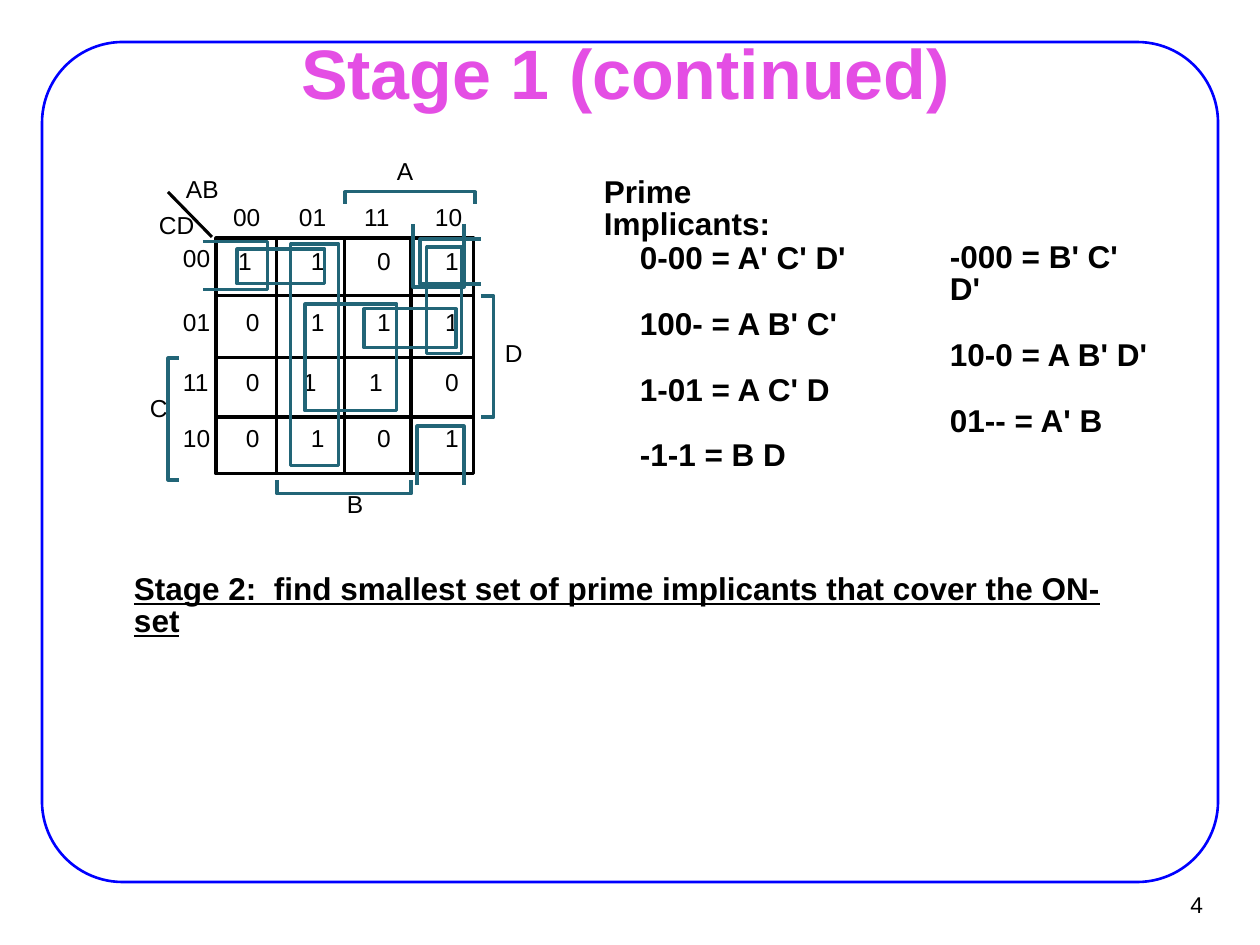
from pptx import Presentation
from pptx import util as u
from pptx.dml import color
from pptx.enum import shapes as sh, text as tx
from lxml import etree

HUES = {"ink": "000000", "frame": "0000FF", "title": "E44EE4", "loop": "226577"}
SIDES = ["left", "top", "right", "bottom"]
NS = "http://schemas.openxmlformats.org/drawingml/2006/main"


def px(n):
    return u.Emu(round(n * 914400 / 126))


def hue(name):
    return color.RGBColor.from_string(HUES[name])


def pen(line, name, width=1.75):
    line.color.rgb = hue(name)
    line.width = u.Pt(width)


def write(slide, box, lines, size, name="ink", bold=False, under=False,
          align="LEFT", pad=(0, 0), lead=1.0, gap=0, anchor="TOP"):
    frame = slide.shapes.add_textbox(*map(px, box)).text_frame
    frame.word_wrap = False
    frame.vertical_anchor = tx.MSO_ANCHOR[anchor]
    frame.margin_left = frame.margin_right = px(pad[0])
    frame.margin_top = frame.margin_bottom = px(pad[1])
    frame.text = "\n".join(lines)
    for i, para in enumerate(frame.paragraphs):
        para.alignment = tx.PP_ALIGN[align]
        para.line_spacing = lead
        para.space_before = u.Pt(gap if i else 0)
        for run in para.runs:
            font = run.font
            font.name, font.size, font.bold = "Arial", u.Pt(size), bold
            font.underline = under
            font.color.rgb = hue(name)


def rect(slide, box, name, kind="RECTANGLE", width=1.75):
    shape = slide.shapes.add_shape(sh.MSO_SHAPE[kind], *map(px, box))
    shape.shadow.inherit = False
    shape.fill.background()
    pen(shape.line, name, width)
    return shape


def rule(slide, x1, y1, x2, y2):
    line = slide.shapes.add_connector(
        sh.MSO_CONNECTOR.STRAIGHT, *map(px, (x1, y1, x2, y2)))
    pen(line.line, "ink")
    etree.SubElement(line._element.spPr, f"{{{NS}}}effectLst")


def cup(slide, x, y, w, h, side):
    ring = [(x, y), (x + w, y), (x + w, y + h), (x, y + h)]
    turn = SIDES.index(side)
    pts = [(px(a), px(b)) for a, b in ring[turn:] + ring[:turn]]
    form = slide.shapes.build_freeform(*pts[0])
    form.add_line_segments(pts[1:], close=False)
    shape = form.convert_to_shape()
    shape.shadow.inherit = False
    shape.fill.background()
    pen(shape.line, "loop")


def draw_frame(slide, box):
    x, y, w, h = box
    shape = rect(slide, box, "frame", "ROUNDED_RECTANGLE", 1.5)
    shape.adjustments[0] = 0.096
    write(slide, (x + 250, y - 16, 667, 91), ["Stage 1 (continued)"], 40,
          "title", bold=True, align="CENTER", pad=(9, 4))
    write(slide, (x + w - 81, y + h - 1, 77, 47), ["4"], 13,
          align="RIGHT", pad=(11, 5), anchor="MIDDLE")


def draw_grid(slide, x, y):
    cols, rows = [66, 127, 195, 261, 324], [82, 140, 202, 261, 318]
    left, top = x + cols[0], y + rows[0]
    right, foot = x + cols[-1], y + rows[-1]
    rect(slide, (left, top, right - left, foot - top), "ink")
    for row in rows[1:-1]:
        rule(slide, left, y + row, right, y + row)
    for col in cols[1:-1]:
        rule(slide, x + col, top, x + col, foot)
    rule(slide, x + 62, y + 81, x + 18, y + 36)


def draw_marks(slide, x, y):
    def put(word, dx, dy, w):
        write(slide, (x + dx, y + dy, w, 29), [word], 14)

    codes = ["00", "01", "11", "10"]
    tops = [90, 151, 211, 267]
    for code, dx in zip(codes, [83, 149, 214, 285]):
        put(code, dx, 46, 34)
    for code, dy in zip(codes, [87] + tops[1:]):
        put(code, 33, dy, 34)
    for word, dx, dy, w in [("AB", 36, 18, 39), ("CD", 9, 54, 43),
                            ("A", 247, 0, 24), ("B", 197, 333, 24),
                            ("C", 0, 237, 25), ("D", 355, 182, 25)]:
        put(word, dx, dy, w)
    shifted = {(0, 0), (2, 1), (2, 2)}
    for r, bits in enumerate(["1101", "0111", "0110", "0101"]):
        for c, bit in enumerate(bits):
            dx = [96, 161, 227, 295][c] - 8 * ((r, c) in shifted)
            put(bit, dx, tops[r], 20)


def draw_loops(slide, x, y):
    for dx, dy, w, h in [(155, 148, 92, 107), (214, 153, 92, 39),
                         (277, 91, 35, 107), (87, 93, 88, 35),
                         (141, 88, 48, 222)]:
        rect(slide, (x + dx, y + dy, w, h), "loop")
    for dx, dy, w, h, side in [
            (195, 36, 130, 12, "bottom"), (127, 324, 134, 14, "top"),
            (331, 140, 13, 121, "left"), (18, 202, 11, 122, "right"),
            (263, 68, 51, 63, "top"), (270, 83, 61, 45, "right"),
            (53, 86, 65, 48, "left"), (267, 270, 47, 59, "bottom")]:
        cup(slide, x + dx, y + dy, w, h, side)


def draw_map(slide, x, y):
    draw_grid(slide, x, y)
    draw_marks(slide, x, y)
    draw_loops(slide, x, y)


def draw_primes(slide, x, y):
    style = dict(size=18, bold=True, pad=(9, 4), lead=0.85, gap=19.2)
    write(slide, (x, y, 280, 39), ["Prime Implicants:"], **style)
    write(slide, (x + 36, y + 66, 224, 232),
          ["0-00 = A' C' D'", "100- = A B' C'", "1-01 = A C' D",
           "-1-1 = B D"], **style)
    write(slide, (x + 346, y + 65, 224, 168),
          ["-000 = B' C' D'", "10-0 = A B' D'", "01-- = A' B"], **style)


def draw_next(slide, box):
    write(slide, box, ["Stage 2:  find smallest set of prime implicants "
                       "that cover the ON-set"], 18, bold=True, under=True,
          pad=(9, 4), lead=0.85)


def main():
    deck = Presentation()
    deck.slide_width, deck.slide_height = px(1260), px(945)
    slide = deck.slides.add_slide(deck.slide_layouts[6])
    draw_frame(slide, (42, 42, 1176, 840))
    draw_primes(slide, 595, 174)
    draw_next(slide, (125, 571, 1029, 39))
    draw_map(slide, 150, 156)
    deck.save("out.pptx")


if __name__ == "__main__":
    main()
